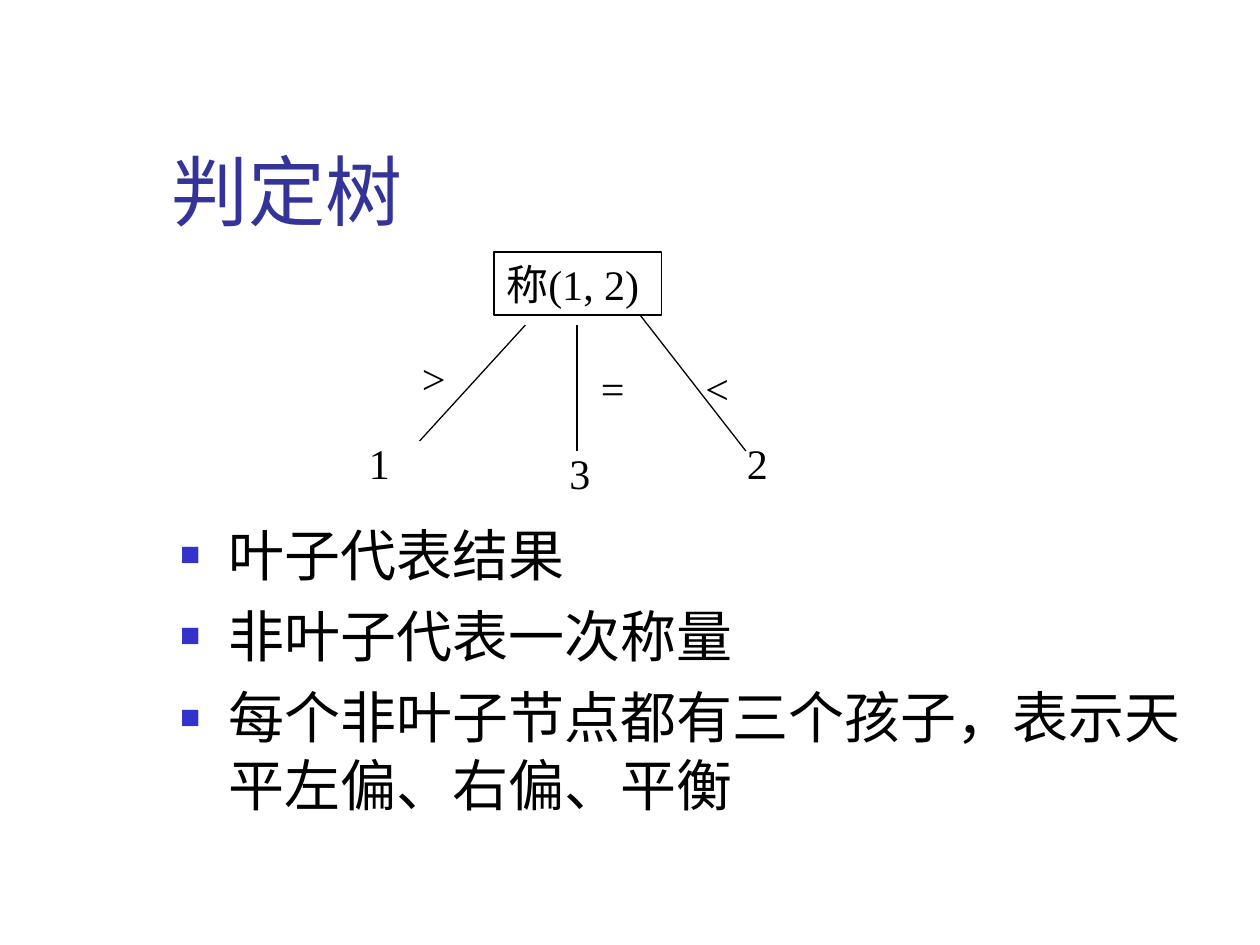
from lxml.etree import SubElement
from pptx import Presentation
from pptx.dml.color import RGBColor
from pptx.enum.shapes import MSO_CONNECTOR, MSO_SHAPE
from pptx.enum.text import MSO_ANCHOR, MSO_AUTO_SIZE, PP_ALIGN
from pptx.oxml.ns import qn
from pptx.util import Inches, Pt


def color(hex_string):
    return RGBColor.from_string(hex_string)


def write(paragraph, text, size, font_name, hex_string):
    """Add one left-aligned run to the paragraph."""
    paragraph.alignment = PP_ALIGN.LEFT
    run = paragraph.add_run()
    run.text = text
    run.font.size = Pt(size)
    run.font.name = font_name
    run.font.color.rgb = color(hex_string)


presentation = Presentation()
presentation.slide_width = Inches(10)
presentation.slide_height = Inches(7.5)
slide = presentation.slides.add_slide(presentation.slide_layouts[1])

# Title
title = slide.shapes.title
title.left, title.top = Inches(1.26), Inches(0.67)
title.width, title.height = Inches(8.52), Inches(1.25)
title.text_frame.auto_size = MSO_AUTO_SIZE.NONE
title.text_frame.vertical_anchor = MSO_ANCHOR.BOTTOM
write(title.text_frame.paragraphs[0], "判定树", 44, "Cabin", "333399")

# Decision tree: root, branches, then branch labels and leaves
tree = slide.shapes.add_group_shape().shapes
root = tree.add_shape(MSO_SHAPE.RECTANGLE, Inches(3.92), Inches(2), Inches(1.33), Inches(0.5))
root.shadow.inherit = False
root.fill.background()
root.line.color.rgb = color("000000")
root.line.width = Pt(0.75)
root.text_frame.vertical_anchor = MSO_ANCHOR.TOP
# The label fills the box almost exactly, so a narrow right inset keeps it on one line
root.text_frame.margin_right = Inches(0.02)
write(root.text_frame.paragraphs[0], "称(1, 2)", 24, "Times New Roman", "000000")

branches = [(4.17, 2.58, 3.33, 3.5), (4.58, 2.58, 4.58, 3.58), (5.08, 2.5, 5.92, 3.58)]
for ends in branches:
    branch = tree.add_connector(MSO_CONNECTOR.STRAIGHT, *[Inches(value) for value in ends])
    branch.line.color.rgb = color("000000")
    branch.line.width = Pt(0.75)
    SubElement(branch._element.spPr, qn("a:effectLst"))

labels = [
    (">", 3.25, 2.75, 0.75),
    ("=", 4.67, 2.83, 0.75),
    ("<", 5.5, 2.83, 1),
    ("1", 2.83, 3.42, 1.17),
    ("3", 4.42, 3.5, 0.58),
    ("2", 5.83, 3.42, 0.58),
]
for text, left, top, width in labels:
    label = tree.add_textbox(Inches(left), Inches(top), Inches(width), Inches(0.5))
    label.text_frame.word_wrap = True
    write(label.text_frame.paragraphs[0], text, 24, "Times New Roman", "000000")

# Bullet list
body = slide.placeholders[1]
body.left, body.top = Inches(1.33), Inches(4.08)
body.width, body.height = Inches(8.17), Inches(2.83)
body.text_frame.auto_size = MSO_AUTO_SIZE.NONE
points = ["叶子代表结果", "非叶子代表一次称量", "每个非叶子节点都有三个孩子，表示天平左偏、右偏、平衡"]
for index, text in enumerate(points):
    paragraph = body.text_frame.paragraphs[0] if index == 0 else body.text_frame.add_paragraph()
    paragraph.space_before = Pt(8 if index else 0)
    properties = paragraph._p.get_or_add_pPr()
    properties.set("marL", str(Inches(0.38)))
    properties.set("indent", str(-Inches(0.38)))
    bullet_color = SubElement(properties, qn("a:buClr"))
    SubElement(bullet_color, qn("a:srgbClr"), val="3333CC")
    SubElement(properties, qn("a:buSzPct"), val="60000")
    SubElement(properties, qn("a:buChar"), char="■")
    write(paragraph, text, 32, "Cabin", "000000")

presentation.save("out.pptx")
